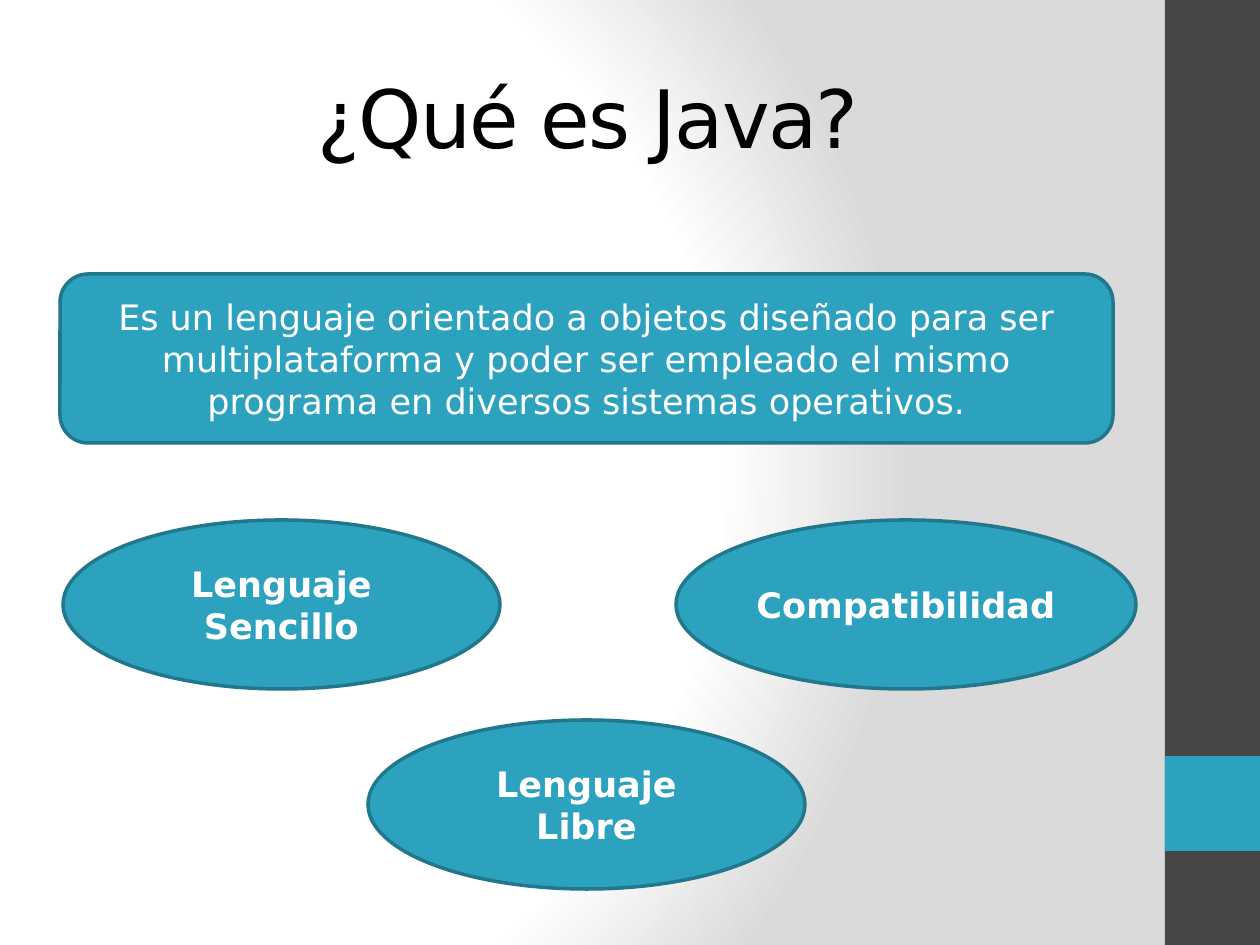
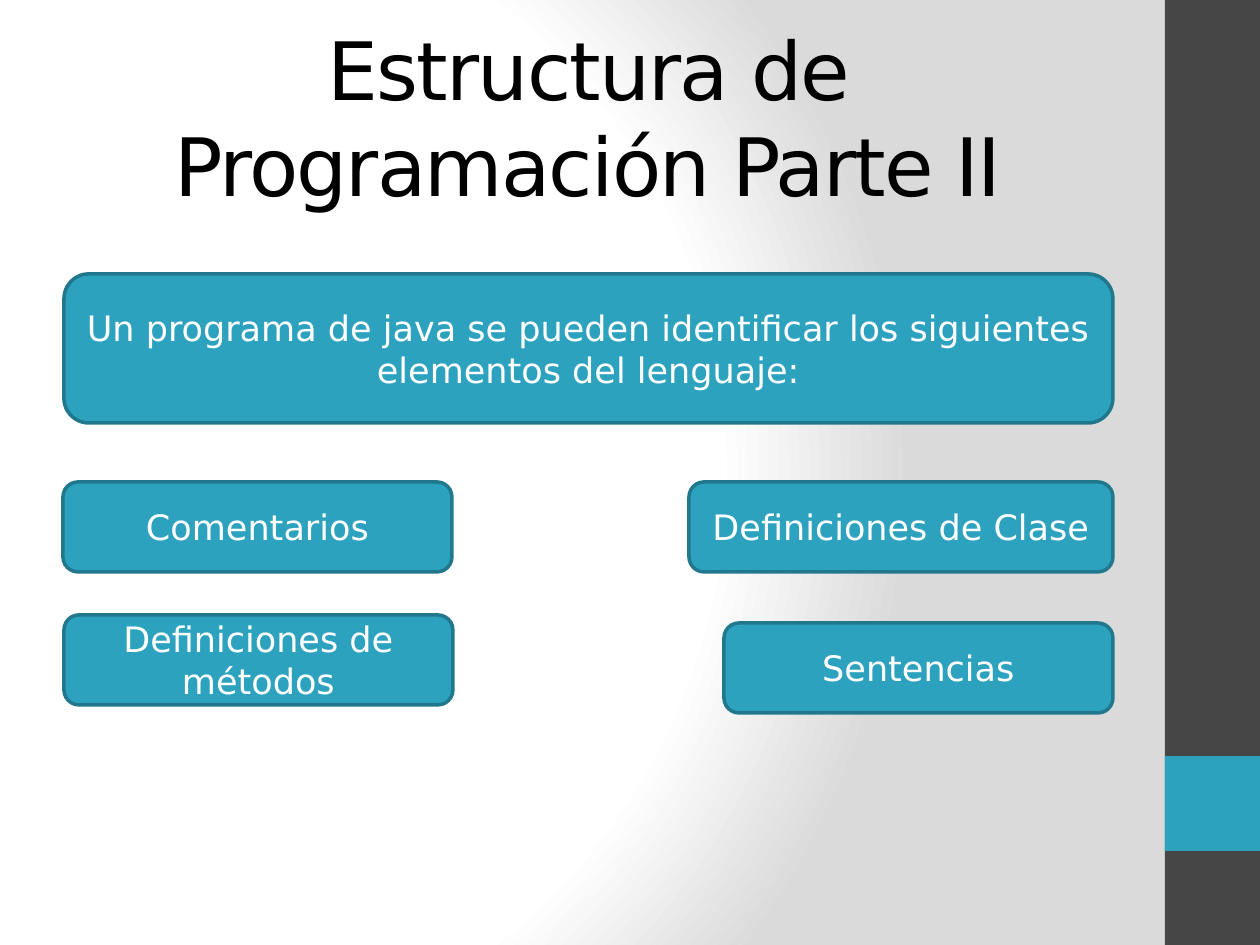
from lxml.etree import SubElement
from pptx import Presentation
from pptx.dml.color import RGBColor
from pptx.enum.shapes import MSO_SHAPE as SHAPE
from pptx.enum.text import MSO_ANCHOR as ANCHOR, MSO_AUTO_SIZE as AUTO, PP_ALIGN as ALIGN
from pptx.oxml.ns import qn
from pptx.util import Pt

PX = 914400 // 126  # EMU per pixel
FONT = "DejaVu Sans"
TEAL = RGBColor(0x2D, 0xA2, 0xBF)
DARK_TEAL = RGBColor(0x21, 0x78, 0x8D)
CHARCOAL = RGBColor(0x46, 0x46, 0x46)
SILVER = RGBColor(0xDA, 0xDA, 0xDA)
WHITE = RGBColor(0xFF, 0xFF, 0xFF)
BLACK = RGBColor(0, 0, 0)


def add_box(shapes, kind, box, fill, line=None):
    """Add a flat preset shape; box is left, top, width, height in pixels."""
    sp = shapes.add_shape(kind, *(n * PX for n in box))
    sp.shadow.inherit = False
    sp.fill.solid()
    sp.fill.fore_color.rgb = fill
    if line is None:
        sp.line.fill.background()
    else:
        sp.line.color.rgb = line
        sp.line.width = Pt(2)
    return sp


def write(sp, text, size, color, bold=False):
    """Write one centred paragraph and return its run."""
    tf = sp.text_frame
    tf.word_wrap = True
    tf.auto_size = AUTO.NONE
    tf.vertical_anchor = ANCHOR.MIDDLE
    p = tf.paragraphs[0]
    p.alignment = ALIGN.CENTER
    r = p.add_run()
    r.text = text
    r.font.name = FONT
    r.font.size = Pt(size)
    r.font.bold = bold
    r.font.color.rgb = color
    return r


prs = Presentation()
prs.slide_width, prs.slide_height = 1260 * PX, 945 * PX
layout = prs.slide_layouts[5]

# Shared background: a circular gradient, white on the left
layout.background.fill.gradient()
grad = layout.element.xpath(".//p:bgPr/a:gradFill")[0]
for child in list(grad):
    grad.remove(child)
stops = SubElement(grad, qn("a:gsLst"))
for pos, color in ((0, WHITE), (75, WHITE), (100, SILVER)):
    stop = SubElement(stops, qn("a:gs"), pos=str(pos * 1000))
    SubElement(stop, qn("a:srgbClr"), val=str(color))
circle = SubElement(grad, qn("a:path"), path="circle")
SubElement(circle, qn("a:fillToRect"), l="20000", t="50000", r="100000", b="50000")

# Title, then shapes: kind, box, text, bold
ROUND, OVAL = SHAPE.ROUNDED_RECTANGLE, SHAPE.OVAL
SLIDES = [
    ("¿Qué es Java?", [
        (ROUND, (60, 274, 1053, 169),
         "Es un lenguaje orientado a objetos diseñado para ser multiplataforma "
         "y poder ser empleado el mismo programa en diversos sistemas operativos.", False),
        (OVAL, (63, 520, 437, 169), "Lenguaje Sencillo", True),
        (OVAL, (676, 520, 460, 169), "Compatibilidad", True),
        (OVAL, (368, 720, 437, 169), "Lenguaje Libre", True),
    ]),
    ("Estructura de Programación Parte II", [
        (ROUND, (64, 274, 1049, 149),
         "Un programa de java se pueden identificar los siguientes "
         "elementos del lenguaje:", False),
        (ROUND, (63, 482, 389, 90), "Comentarios", False),
        (ROUND, (689, 482, 424, 90), "Definiciones de Clase", False),
        (ROUND, (64, 615, 389, 90), "Definiciones de métodos", False),
        (ROUND, (724, 623, 389, 90), "Sentencias", False),
    ]),
]

for title, items in SLIDES:
    s = prs.slides.add_slide(layout)
    sp = s.shapes.title
    sp.left, sp.top, sp.width, sp.height = (n * PX for n in (63, 38, 1050, 157))
    r = write(sp, title, 46, BLACK)
    r.font._element.set("spc", "-100")
    for kind, box, text, bold in items:
        sp = add_box(s.shapes, kind, box, TEAL, DARK_TEAL)
        write(sp, text, 20, WHITE, bold)

# Shared side bands, moved from the last slide to the layout
for top, height, color in ((0, 945, CHARCOAL), (756, 95, TEAL)):
    band = add_box(s.shapes, SHAPE.RECTANGLE, (1165, top, 95, height), color)
    layout.shapes.element.append(band.element)

prs.save("out.pptx")
